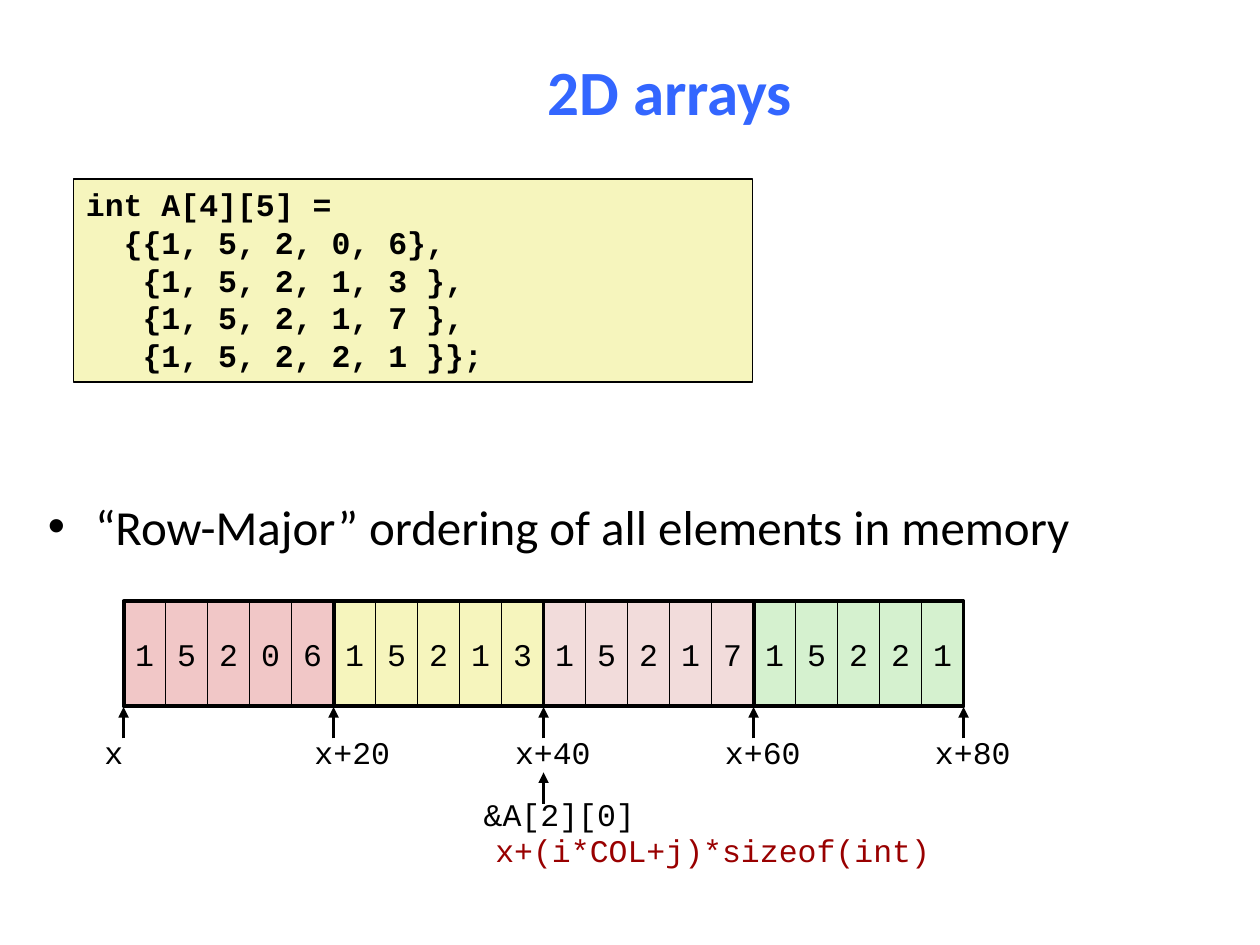
from lxml.etree import SubElement
from pptx import Presentation
from pptx.dml.color import RGBColor
from pptx.enum.shapes import MSO_CONNECTOR, MSO_SHAPE
from pptx.enum.text import MSO_ANCHOR, PP_ALIGN
from pptx.oxml.ns import qn
from pptx.util import Pt


def color(hex_value):
    """Turn a hex string into a colour."""
    return RGBColor.from_string(hex_value)


def write(shape, lines, size=18, font="Courier New", ink="000000", bold=False,
          align=PP_ALIGN.LEFT, anchor=MSO_ANCHOR.TOP, wrap=False):
    """Write one paragraph per line into a shape."""
    frame = shape.text_frame
    frame.word_wrap = wrap
    frame.vertical_anchor = anchor
    for number, line in enumerate(lines):
        paragraph = frame.add_paragraph() if number else frame.paragraphs[0]
        paragraph.alignment = align
        run = paragraph.add_run()
        run.text = line
        run.font.name = font
        run.font.size = Pt(size)
        run.font.bold = bold
        run.font.color.rgb = color(ink)


presentation = Presentation()
presentation.slide_width = Pt(720)
presentation.slide_height = Pt(540)
slide = presentation.slides.add_slide(presentation.slide_layouts[5])
shapes = slide.shapes

title = shapes.title
title.left, title.top, title.width, title.height = Pt(131.8), Pt(28.8), Pt(501.8), Pt(45.4)
write(title, ["2D arrays"], 36, "Calibri", "3366FF", True,
      PP_ALIGN.CENTER, MSO_ANCHOR.MIDDLE, True)

statement = shapes.add_textbox(Pt(20.2), Pt(280), Pt(630), Pt(52.6))
write(statement, ["“Row-Major” ordering of all elements in memory"], 28, "Calibri", wrap=True)
bullet_paragraph = statement.text_frame.paragraphs[0]
bullet_paragraph.space_before = Pt(5.6)
properties = bullet_paragraph._p.get_or_add_pPr()
properties.set("marL", str(Pt(27)))
properties.set("indent", str(Pt(-27)))
SubElement(properties, qn("a:buFont"), typeface="Arial")
SubElement(properties, qn("a:buChar"), char="•")

declaration = shapes.add_shape(MSO_SHAPE.RECTANGLE, Pt(42), Pt(102.2), Pt(388), Pt(116))
declaration.shadow.inherit = False
declaration.fill.solid()
declaration.fill.fore_color.rgb = color("F6F5BD")
declaration.line.color.rgb = color("000000")
declaration.line.width = Pt(1)
write(declaration, [
    "int A[4][5] =",
    "  {{1, 5, 2, 0, 6},",
    "   {1, 5, 2, 1, 3 },",
    "   {1, 5, 2, 1, 7 },",
    "   {1, 5, 2, 2, 1 }};",
], bold=True, wrap=True)

# Memory strip: four rows of five cells, laid end to end
memory_left, memory_top = 70.6, 343.6
cell_width, cell_height = 24, 60
row_width = 5 * cell_width
memory_rows = [("15206", "F1C7C7"), ("15213", "F6F5BD"),
               ("15217", "F2DCDB"), ("15221", "D5F1CF")]

for row, (values, tint) in enumerate(memory_rows):
    row_left = memory_left + row * row_width
    row_cells = shapes.add_group_shape()
    for column, value in enumerate(values):
        cell = row_cells.shapes.add_shape(
            MSO_SHAPE.RECTANGLE, Pt(row_left + column * cell_width), Pt(memory_top),
            Pt(cell_width), Pt(cell_height))
        cell.shadow.inherit = False
        cell.fill.solid()
        cell.fill.fore_color.rgb = color(tint)
        cell.line.color.rgb = color("000000")
        cell.line.width = Pt(1)
        write(cell, [value], align=PP_ALIGN.CENTER, anchor=MSO_ANCHOR.MIDDLE)

for row in range(len(memory_rows)):
    row_outline = shapes.add_shape(
        MSO_SHAPE.RECTANGLE, Pt(memory_left + row * row_width), Pt(memory_top),
        Pt(row_width), Pt(cell_height))
    row_outline.shadow.inherit = False
    row_outline.fill.background()
    row_outline.line.color.rgb = color("000000")
    row_outline.line.width = Pt(2.25)

# Addresses: text, left, top, width
addresses = [("x", 52.6, 415.4, 25.2), ("&A[2][0]", 269.3, 450.7, 101.5)]
for row in range(1, 5):
    label_shift = 18 if row == 1 else 23.4
    addresses.append((f"x+{20 * row}", memory_left + row * row_width - label_shift, 415.4, 58.3))
for address, left, top, width in addresses:
    write(shapes.add_textbox(Pt(left), Pt(top), Pt(width), Pt(28.8)), [address])

formula = shapes.add_textbox(Pt(229), Pt(471.6), Pt(356.4), Pt(28.8))
write(formula, ["x+(i*COL+j)*sizeof(int)"], ink="990000", align=PP_ALIGN.CENTER, wrap=True)

# Pointers: row boundary and height of the tip
pointers = [(row, 404) for row in range(5)] + [(2, 441.4)]
for row, tip in pointers:
    x = Pt(memory_left + row * row_width)
    pointer = shapes.add_connector(MSO_CONNECTOR.STRAIGHT, x, Pt(tip + 18), x, Pt(tip))
    pointer.line.color.rgb = color("000000")
    pointer.line.width = Pt(2)
    SubElement(pointer.line._get_or_add_ln(), qn("a:tailEnd"), type="triangle")
    SubElement(pointer._element.spPr, qn("a:effectLst"))

presentation.save("out.pptx")
